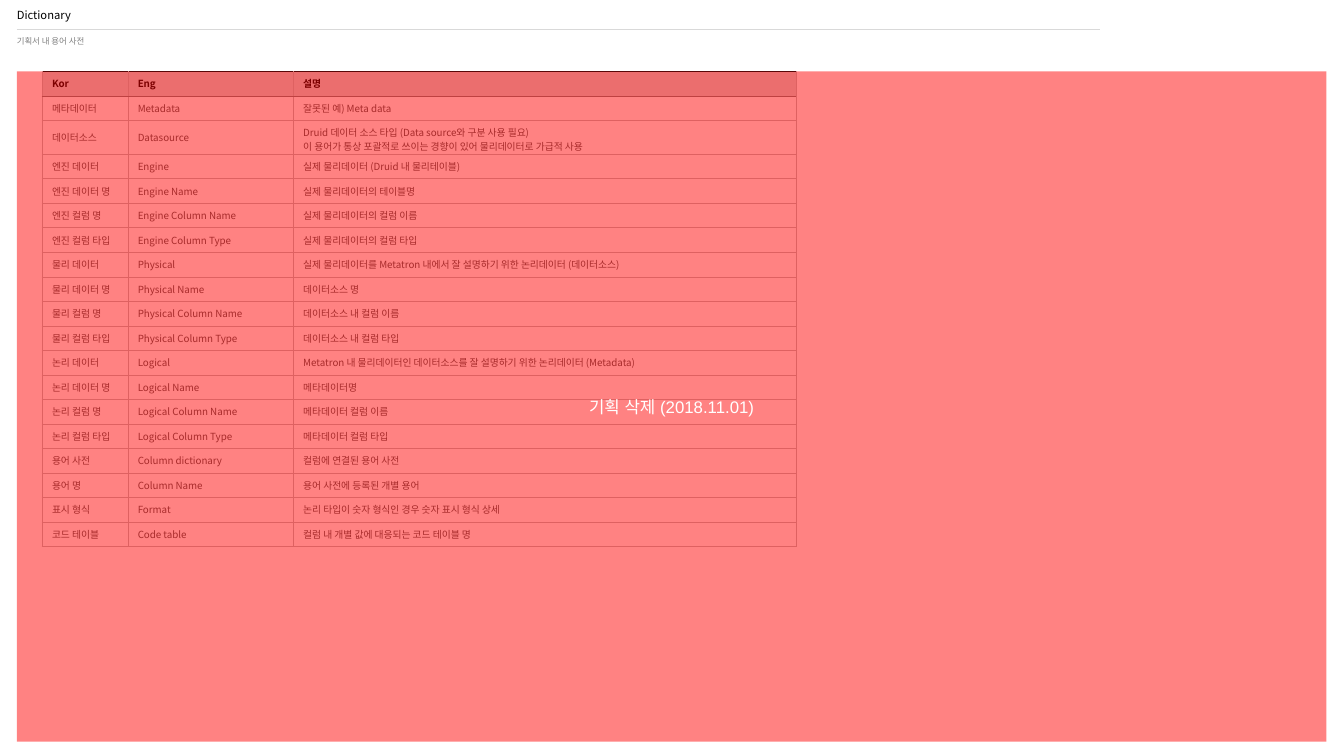
from dataclasses import dataclass
from typing import NamedTuple

from lxml import etree
from pptx import Presentation
from pptx import util as u
from pptx.dml.color import RGBColor
from pptx.enum import shapes, text
from pptx.oxml.ns import qn

# The slide is a grid of 160 columns by 90 rows of square cells.
SLIDE_WIDTH = u.Inches(13.333)
SLIDE_HEIGHT = u.Inches(7.5)
GRID_ROWS = 90


class Style(NamedTuple):
    size: float
    color: str
    bold: bool = False
    font: str = "Noto Sans CJK KR"


@dataclass(frozen=True)
class Theme:
    title: Style = Style(8, "000000")
    subtitle: Style = Style(6, "808080")
    header: Style = Style(7, "000000", bold=True)
    body: Style = Style(7, "555555")
    notice: Style = Style(12, "FFFFFF", font="Arial")
    rule: str = "D9D9D9"
    header_fill: str = "D9D9D9"
    body_fill: str = "FFFFFF"
    border: str = "BFBFBF"
    header_top: str = "0D0D0D"
    header_bottom: str = "808080"
    veil: str = "FF0000"
    veil_opacity: int = 49
    line_width: float = 0.25


@dataclass(frozen=True)
class Box:
    """A place on the slide, in grid columns and rows."""
    left: float
    top: float
    width: float
    height: float

    def lengths(self) -> tuple:
        return tuple(map(grid, (self.left, self.top, self.width, self.height)))


class Term(NamedTuple):
    korean: str
    english: str
    description: str


THEME = Theme()
TITLE_BOX = Box(2, 0.4, 129, 3)
SUBTITLE_BOX = Box(2, 3.5, 129, 3.4)
VEIL_BOX = Box(2, 8.5, 155.9, 79.8)
COLUMN_WIDTHS = (10.2, 19.7, 59.9)
ROW_HEIGHT = 2.92
HEADER = Term("Kor", "Eng", "설명")
TERMS = (
    Term("메타데이터", "Metadata", "잘못된 예) Meta data"),
    Term("데이터소스", "Datasource",
         "Druid 데이터 소스 타입 (Data source와 구분 사용 필요)\n"
         "이 용어가 통상 포괄적로 쓰이는 경향이 있어 물리데이터로 가급적 사용"),
    Term("엔진 데이터", "Engine", "실제 물리데이터 (Druid 내 물리테이블)"),
    Term("엔진 데이터 명", "Engine Name", "실제 물리데이터의 테이블명"),
    Term("엔진 컬럼 명", "Engine Column Name", "실제 물리데이터의 컬럼 이름"),
    Term("엔진 컬럼 타입", "Engine Column Type", "실제 물리데이터의 컬럼 타입"),
    Term("물리 데이터", "Physical",
         "실제 물리데이터를 Metatron 내에서 잘 설명하기 위한 논리데이터 (데이터소스)"),
    Term("물리 데이터 명", "Physical Name", "데이터소스 명"),
    Term("물리 컬럼 명", "Physical Column Name", "데이터소스 내 컬럼 이름"),
    Term("물리 컬럼 타입", "Physical Column Type", "데이터소스 내 컬럼 타입"),
    Term("논리 데이터", "Logical",
         "Metatron 내 물리데이터인 데이터소스를 잘 설명하기 위한 논리데이터 (Metadata)"),
    Term("논리 데이터 명", "Logical Name", "메타데이터명"),
    Term("논리 컬럼 명", "Logical Column Name", "메타데이터 컬럼 이름"),
    Term("논리 컬럼 타입", "Logical Column Type", "메타데이터 컬럼 타입"),
    Term("용어 사전", "Column dictionary", "컬럼에 연결된 용어 사전"),
    Term("용어 명", "Column Name", "용어 사전에 등록된 개별 용어"),
    Term("표시 형식", "Format", "논리 타입이 숫자 형식인 경우 숫자 표시 형식 상세"),
    Term("코드 테이블", "Code table", "컬럼 내 개별 값에 대응되는 코드 테이블 명"),
)


def grid(units: float) -> u.Emu:
    return u.Emu(round(units * SLIDE_HEIGHT / GRID_ROWS))


def rgb(color: str) -> RGBColor:
    return RGBColor.from_string(color)


def write(paragraph, words: str, style: Style) -> None:
    """Add one run per line of words, with line breaks between them."""
    for index, line in enumerate(words.split("\n")):
        if index:
            paragraph.add_line_break()
        run = paragraph.add_run()
        run.text = line
        run.font.size = u.Pt(style.size)
        run.font.bold = style.bold
        run.font.name = style.font
        run.font.color.rgb = rgb(style.color)
        east_asian = etree.SubElement(run.font._element, qn("a:ea"))
        east_asian.set("typeface", style.font)


def add_heading(slide, box: Box, words: str, style: Style,
                anchor: text.MSO_ANCHOR, top_inset: float = 0) -> None:
    frame = slide.shapes.add_textbox(*box.lengths()).text_frame
    frame.word_wrap = True
    frame.vertical_anchor = anchor
    frame.margin_left = frame.margin_right = frame.margin_bottom = 0
    frame.margin_top = grid(top_inset)
    paragraph = frame.paragraphs[0]
    paragraph.line_spacing = 0.9
    write(paragraph, words, style)


def add_rule(slide) -> None:
    left, top, width, _ = SUBTITLE_BOX.lengths()
    rule = slide.shapes.add_connector(
        shapes.MSO_CONNECTOR.STRAIGHT, left, top, left + width, top)
    rule.line.color.rgb = rgb(THEME.rule)
    rule.line.width = u.Pt(THEME.line_width)
    etree.SubElement(rule._element.spPr, qn("a:effectLst"))


def set_borders(cell, top: str, bottom: str) -> None:
    sides = {"L": THEME.border, "R": THEME.border, "T": top, "B": bottom}
    properties = cell._tc.get_or_add_tcPr()
    for index, (side, color) in enumerate(sides.items()):
        line = etree.Element(qn(f"a:ln{side}"), w=str(u.Pt(THEME.line_width)))
        fill = etree.SubElement(line, qn("a:solidFill"))
        etree.SubElement(fill, qn("a:srgbClr"), val=color)
        properties.insert(index, line)


def add_dictionary(slide) -> None:
    rows = (HEADER, *TERMS)
    box = Box(5, VEIL_BOX.top, sum(COLUMN_WIDTHS), ROW_HEIGHT * len(rows))
    table = slide.shapes.add_table(
        len(rows), len(COLUMN_WIDTHS), *box.lengths()).table
    table.first_row = table.horz_banding = False
    for column, width in zip(table.columns, COLUMN_WIDTHS):
        column.width = grid(width)
    for index, term in enumerate(rows):
        is_header = index == 0
        table.rows[index].height = grid(ROW_HEIGHT)
        top = (THEME.header_top, THEME.header_bottom, THEME.border)[min(index, 2)]
        bottom = THEME.header_bottom if is_header else THEME.border
        for cell, words in zip(table.rows[index].cells, term):
            cell.vertical_anchor = text.MSO_ANCHOR.MIDDLE
            cell.fill.solid()
            cell.fill.fore_color.rgb = rgb(
                THEME.header_fill if is_header else THEME.body_fill)
            set_borders(cell, top, bottom)
            write(cell.text_frame.paragraphs[0], words,
                  THEME.header if is_header else THEME.body)


def add_veil(slide, words: str) -> None:
    """Cover the content with a see-through notice."""
    veil = slide.shapes.add_shape(
        shapes.MSO_SHAPE.RECTANGLE, *VEIL_BOX.lengths())
    veil.shadow.inherit = False
    veil.line.fill.background()
    veil.fill.solid()
    veil.fill.fore_color.rgb = rgb(THEME.veil)
    color = veil._element.spPr.find(qn("a:solidFill")).find(qn("a:srgbClr"))
    etree.SubElement(color, qn("a:alpha"), val=str(THEME.veil_opacity * 1000))
    veil.text_frame.vertical_anchor = text.MSO_ANCHOR.MIDDLE
    paragraph = veil.text_frame.paragraphs[0]
    paragraph.alignment = text.PP_ALIGN.CENTER
    write(paragraph, words, THEME.notice)


def main() -> None:
    presentation = Presentation()
    presentation.slide_width = SLIDE_WIDTH
    presentation.slide_height = SLIDE_HEIGHT
    slide = presentation.slides.add_slide(presentation.slide_layouts[6])
    add_rule(slide)
    add_heading(slide, SUBTITLE_BOX, "기획서 내 용어 사전", THEME.subtitle,
                text.MSO_ANCHOR.TOP, top_inset=0.95)
    add_heading(slide, TITLE_BOX, "Dictionary", THEME.title,
                text.MSO_ANCHOR.MIDDLE)
    add_dictionary(slide)
    add_veil(slide, "기획 삭제 (2018.11.01)")
    presentation.save("out.pptx")


if __name__ == "__main__":
    main()
